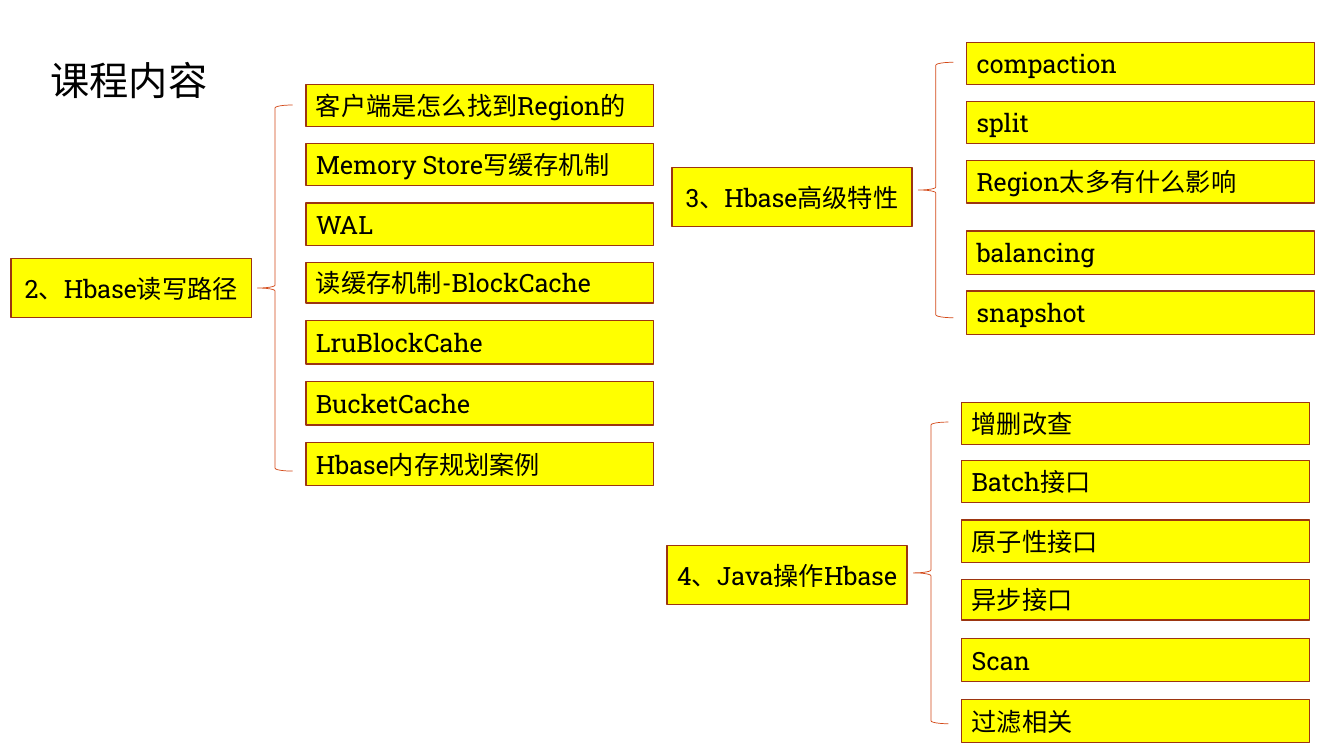
"""Build the course outline slide with three bracketed topic groups."""
from lxml.etree import SubElement
from pptx import Presentation
from pptx.dml.color import RGBColor
from pptx.enum.shapes import MSO_SHAPE
from pptx.enum.text import MSO_ANCHOR, MSO_AUTO_SIZE, PP_ALIGN
from pptx.oxml.ns import qn
from pptx.util import Pt

BLACK = RGBColor(0x00, 0x00, 0x00)
YELLOW = RGBColor(0xFF, 0xFF, 0x00)
BROWN = RGBColor(0x9C, 0x35, 0x11)
ORANGE = RGBColor(0xD3, 0x48, 0x17)
FONT = "Roboto Slab"

LABEL_WIDTH, LABEL_HEIGHT = 171.5, 42.5
BRACE_OFFSET, BRACE_WIDTH = 176, 25
ITEM_OFFSET, ITEM_WIDTH = 210.5, 248.5

GROUPS = [
    {
        "label": ("2、Hbase读写路径", 8, 184.5),
        "brace": (75, 261.5),
        "items": [
            ("客户端是怎么找到Region的", 60.5, 30),
            ("Memory Store写缓存机制", 102.5, 30),
            ("WAL", 145, 30.5),
            ("读缓存机制-BlockCache", 187.5, 29),
            ("LruBlockCahe", 229, 31),
            ("BucketCache", 272.5, 31),
            ("Hbase内存规划案例", 316, 31),
        ],
    },
    {
        "label": ("3、Hbase高级特性", 480, 119.5),
        "brace": (44.5, 182.5),
        "items": [
            ("compaction", 30.5, 30),
            ("split", 72.5, 30),
            ("Region太多有什么影响", 114.5, 30.5),
            ("balancing", 165, 31),
            ("snapshot", 208, 31),
        ],
    },
    {
        "label": ("4、Java操作Hbase", 476.5, 389.5),
        "brace": (301.5, 215.5),
        "items": [
            ("增删改查", 287.5, 30),
            ("Batch接口", 329, 30),
            ("原子性接口", 371.5, 30.5),
            ("异步接口", 414, 29),
            ("Scan", 456, 31),
            ("过滤相关", 499.5, 31),
        ],
    },
]


def write_text(shape, text, size, alignment):
    """Put one formatted paragraph into a shape."""
    shape.text_frame.text = text
    paragraph = shape.text_frame.paragraphs[0]
    paragraph.alignment = alignment
    for run in paragraph.runs:
        run.font.name = FONT
        run.font.size = Pt(size)
        run.font.color.rgb = BLACK
        SubElement(run.font._element, qn("a:ea"), typeface=FONT)


def place_title(slide, text):
    """Move and format the title placeholder."""
    title = slide.shapes.title
    title.left, title.top = Pt(29), Pt(36.5)
    title.width, title.height = Pt(127.5), Pt(41)
    write_text(title, text, 28, PP_ALIGN.LEFT)
    title.text_frame.word_wrap = False
    title.text_frame.auto_size = MSO_AUTO_SIZE.SHAPE_TO_FIT_TEXT
    title.text_frame.vertical_anchor = MSO_ANCHOR.TOP


def add_box(slide, text, left, top, width, height, alignment):
    """Add a yellow box with a brown outline."""
    box = slide.shapes.add_shape(
        MSO_SHAPE.RECTANGLE, Pt(left), Pt(top), Pt(width), Pt(height)
    )
    box.shadow.inherit = False
    box.fill.solid()
    box.fill.fore_color.rgb = YELLOW
    box.line.color.rgb = BROWN
    box.line.width = Pt(1)
    box.text_frame.word_wrap = True
    box.text_frame.vertical_anchor = MSO_ANCHOR.MIDDLE
    write_text(box, text, 18, alignment)


def add_brace(slide, left, top, height):
    """Add a thin opening brace."""
    brace = slide.shapes.add_shape(
        MSO_SHAPE.LEFT_BRACE, Pt(left), Pt(top), Pt(BRACE_WIDTH), Pt(height)
    )
    brace.shadow.inherit = False
    brace.fill.background()
    brace.line.color.rgb = ORANGE
    brace.line.width = Pt(0.5)


def add_group(slide, group):
    """Add a topic label, its brace and its items."""
    text, left, top = group["label"]
    add_box(slide, text, left, top, LABEL_WIDTH, LABEL_HEIGHT, PP_ALIGN.CENTER)
    add_brace(slide, left + BRACE_OFFSET, *group["brace"])
    for item, item_top, height in group["items"]:
        add_box(slide, item, left + ITEM_OFFSET, item_top, ITEM_WIDTH, height,
                PP_ALIGN.LEFT)


def main():
    """Create and save the presentation."""
    presentation = Presentation()
    presentation.slide_width, presentation.slide_height = Pt(960), Pt(540)
    slide = presentation.slides.add_slide(presentation.slide_layouts[5])
    place_title(slide, "课程内容")
    for group in GROUPS:
        add_group(slide, group)
    presentation.save("out.pptx")


if __name__ == "__main__":
    main()
